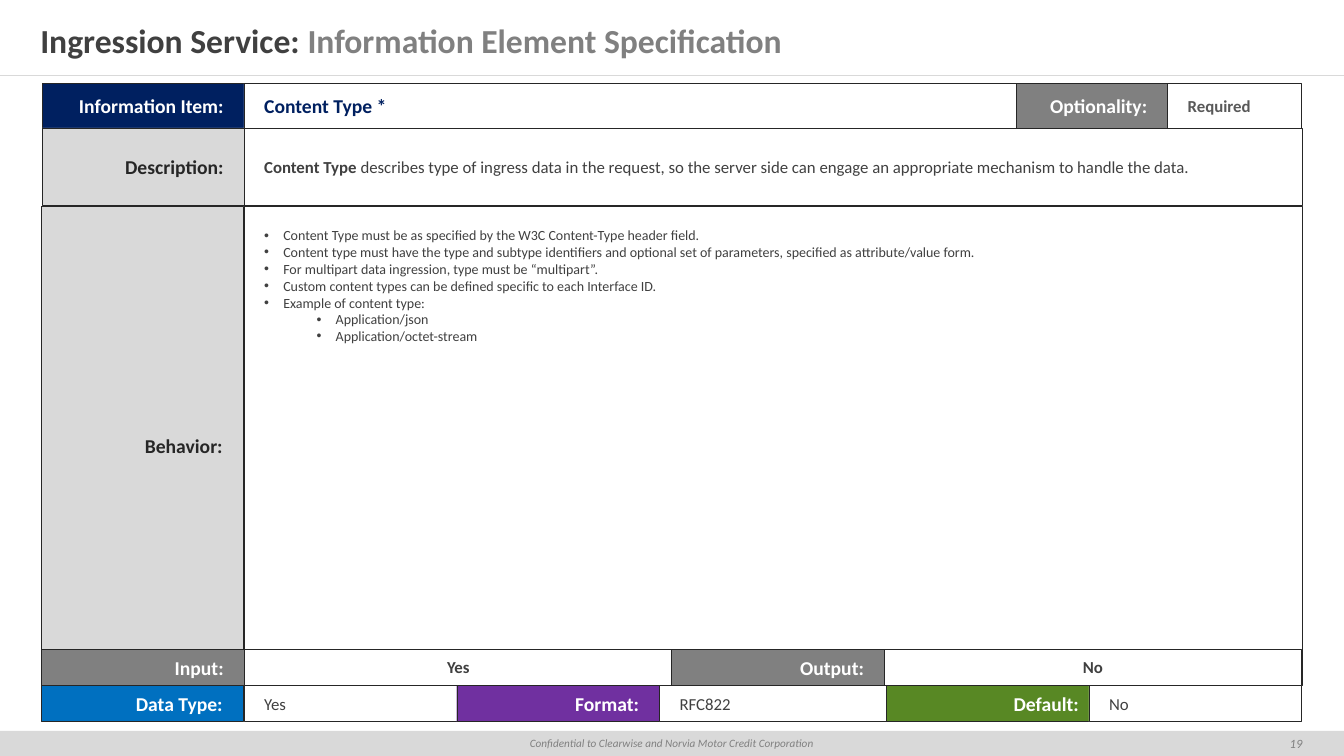
from dataclasses import dataclass

import pptx
import pptx.dml.color
import pptx.enum.shapes
import pptx.enum.text
import pptx.oxml.ns
import pptx.util
from lxml import etree

Inches, Pt = pptx.util.Inches, pptx.util.Pt
ALIGN = pptx.enum.text.PP_ALIGN
ANCHOR = pptx.enum.text.MSO_ANCHOR
RECT = pptx.enum.shapes.MSO_SHAPE.RECTANGLE

WHITE, NAVY, GREY, PALE = "FFFFFF", "002060", "808080", "D9D9D9"
DARK, INK = "404040", "262626"
SLIDE_W, SLIDE_H = 13.33, 7.5

LABEL = dict(size=Pt(14), bold=True)
VALUE = dict(size=Pt(12), bold=False)
STRONG = dict(size=Pt(12), bold=True)
SMALL = dict(size=Pt(10), bold=False)

# Table edges
LEFT, BODY, RIGHT = 0.42, 2.42, 12.92
ITEM_Y, DESC_Y, BEHAVIOR_Y, IO_Y, TYPE_Y = 0.83, 1.27, 2.05, 6.44, 6.8
ITEM_H, DESC_H, BEHAVIOR_H, ROW_H = 0.44, 0.77, 4.75, 0.36


@dataclass
class Run:
    text: str
    color: str
    font: dict


@dataclass
class Cell:
    x: float
    y: float
    w: float
    h: float
    fill: str
    runs: list[Run]
    align: ALIGN = ALIGN.LEFT
    inset: float = 0.2


def rgb(value: str) -> pptx.dml.color.RGBColor:
    return pptx.dml.color.RGBColor.from_string(value)


def add_runs(p, runs: list[Run], align: ALIGN) -> None:
    p.alignment = align
    for run in runs:
        r = p.add_run()
        r.text = run.text
        r.font.name = "Calibri"
        r.font.color.rgb = rgb(run.color)
        for name, value in run.font.items():
            setattr(r.font, name, value)


def set_frame(tf, inset_x: float, inset_y: float, anchor: ANCHOR) -> None:
    frame = dict(word_wrap=True, vertical_anchor=anchor,
                 margin_left=Inches(inset_x), margin_right=Inches(inset_x),
                 margin_top=Inches(inset_y), margin_bottom=Inches(inset_y))
    for name, value in frame.items():
        setattr(tf, name, value)


def add_rect(shapes, x: float, y: float, w: float, h: float, fill: str):
    sp = shapes.add_shape(RECT, Inches(x), Inches(y), Inches(w), Inches(h))
    sp.shadow.inherit = False
    sp.fill.solid()
    sp.fill.fore_color.rgb = rgb(fill)
    sp.line.fill.background()
    return sp


def add_cell(shapes, cell: Cell):
    sp = add_rect(shapes, cell.x, cell.y, cell.w, cell.h, cell.fill)
    sp.line.color.rgb = rgb(INK)
    sp.line.width = Pt(0.25)
    set_frame(sp.text_frame, cell.inset, 0.05, ANCHOR.MIDDLE)
    add_runs(sp.text_frame.paragraphs[0], cell.runs, cell.align)
    return sp


def add_text(s, x: float, y: float, w: float, h: float, inset_x: float,
             inset_y: float, runs: list[Run], align: ALIGN) -> None:
    sp = s.shapes.add_textbox(Inches(x), Inches(y), Inches(w), Inches(h))
    set_frame(sp.text_frame, inset_x, inset_y, ANCHOR.MIDDLE)
    add_runs(sp.text_frame.paragraphs[0], runs, align)


def add_bullets(tf, items: list[tuple[int, str]]) -> None:
    for i, (level, text) in enumerate(items):
        p = tf.paragraphs[0] if i == 0 else tf.add_paragraph()
        p.level = level
        pPr = p._p.get_or_add_pPr()
        pPr.set("marL", str(Inches(0.19 + 0.52 * level)))
        pPr.set("indent", str(Inches(-0.19)))
        for tag, key, value in (("a:buFont", "typeface", "Arial"),
                                ("a:buChar", "char", "•")):
            etree.SubElement(pPr, pptx.oxml.ns.qn(tag)).set(key, value)
        add_runs(p, [Run(text, DARK, SMALL)], ALIGN.JUSTIFY)


def label(x: float, y: float, w: float, h: float, fill: str, text: str,
          color: str = WHITE, inset: float = 0.2) -> Cell:
    return Cell(x, y, w, h, fill, [Run(text, color, LABEL)], ALIGN.RIGHT, inset)


def value(x: float, y: float, w: float, h: float, text: str,
          color: str = DARK, font: dict = VALUE,
          align: ALIGN = ALIGN.LEFT) -> Cell:
    return Cell(x, y, w, h, WHITE, [Run(text, color, font)], align)


BEHAVIOR = [
    (0, "Content Type must be as specified by the W3C Content-Type header field."),
    (0, "Content type must have the type and subtype identifiers and optional set "
        "of parameters, specified as attribute/value form."),
    (0, "For multipart data ingression, type must be “multipart”."),
    (0, "Custom content types can be defined specific to each Interface ID."),
    (0, "Example of content type:"),
    (1, "Application/json"),
    (1, "Application/octet-stream"),
]

DESCRIPTION = [
    Run("Content Type ", DARK, STRONG),
    Run("describes type of ingress data in the request, so the server side can "
        "engage an appropriate mechanism to handle the data.", DARK, VALUE),
]

CELLS = [
    label(LEFT, ITEM_Y, 2, ITEM_H, NAVY, "Information Item:"),
    Cell(BODY, DESC_Y, RIGHT - BODY, DESC_H, WHITE, DESCRIPTION, ALIGN.JUSTIFY),
    value(BODY, ITEM_Y, 7.67, ITEM_H, "Content Type *", NAVY, LABEL),
    label(10.08, ITEM_Y, 1.5, ITEM_H, GREY, "Optionality:"),
    value(11.58, ITEM_Y, 1.33, ITEM_H, "Required", "595959", STRONG),
    label(LEFT, DESC_Y, 2, DESC_H, PALE, "Description:", INK),
    label(0.41, BEHAVIOR_Y, 2, BEHAVIOR_H, PALE, "Behavior:", INK),
    value(BODY, TYPE_Y, 2.11, ROW_H, "Yes"),
    label(0.41, TYPE_Y, 2, ROW_H, "0070C0", "Data Type:"),
    label(4.53, TYPE_Y, 2.01, ROW_H, "7030A0", "Format:"),
    label(8.79, TYPE_Y, 2.01, ROW_H, "588824", "Default:", inset=0.1),
    value(6.54, TYPE_Y, 2.25, ROW_H, "RFC822"),
    value(10.8, TYPE_Y, 2.11, ROW_H, "No"),
]

IO_CELLS = [
    value(BODY, IO_Y, 4.25, ROW_H, "Yes", font=STRONG, align=ALIGN.CENTER),
    label(0.41, IO_Y, 2.01, ROW_H, GREY, "Input:"),
    value(8.77, IO_Y, 4.14, ROW_H, "No", font=STRONG, align=ALIGN.CENTER),
    label(6.66, IO_Y, 2.11, ROW_H, GREY, "Output:"),
]


def add_frame(s) -> None:
    """Draw the footer, the header rule, the page number and the title."""
    add_rect(s.shapes, 0, 7.25, SLIDE_W, 0.26, PALE)
    sp = add_rect(s.shapes, 0, 7.26, SLIDE_W, 0.24, PALE)
    set_frame(sp.text_frame, 0.1, 0.05, ANCHOR.TOP)
    p = sp.text_frame.paragraphs[0]
    p.space_after = Pt(12)
    note = "Confidential to Clearwise and Norvia Motor Credit Corporation"
    add_runs(p, [Run(note, GREY, dict(size=Pt(8), italic=True))], ALIGN.CENTER)

    rule = s.shapes.add_connector(pptx.enum.shapes.MSO_CONNECTOR.STRAIGHT,
                                  0, Inches(0.75), Inches(SLIDE_W), Inches(0.75))
    rule.line.color.rgb = rgb(PALE)
    rule.line.width = Pt(0.25)
    etree.SubElement(rule._element.spPr, pptx.oxml.ns.qn("a:effectLst"))

    add_text(s, 12.5, 7.25, 0.71, 0.25, 0.1, 0.1,
             [Run("19", GREY, dict(size=Pt(9), italic=True))], ALIGN.CENTER)
    heading = dict(size=Pt(24), bold=True)
    add_text(s, 0, 0.16, SLIDE_W, 0.48, 0.4, 0.2,
             [Run("Ingression Service: ", DARK, heading),
              Run("Information Element Specification", GREY, heading)], ALIGN.LEFT)


def main() -> None:
    prs = pptx.Presentation()
    prs.slide_width, prs.slide_height = Inches(SLIDE_W), Inches(SLIDE_H)
    s = prs.slides.add_slide(prs.slide_layouts[6])
    add_frame(s)

    behavior = add_cell(s.shapes, Cell(BODY, BEHAVIOR_Y, RIGHT - BODY,
                                       BEHAVIOR_H, WHITE, []))
    set_frame(behavior.text_frame, 0.2, 0.2, ANCHOR.TOP)
    add_bullets(behavior.text_frame, BEHAVIOR)

    for cell in CELLS:
        add_cell(s.shapes, cell)
    group = s.shapes.add_group_shape()
    for cell in IO_CELLS:
        add_cell(group.shapes, cell)
    prs.save("out.pptx")


if __name__ == "__main__":
    main()
